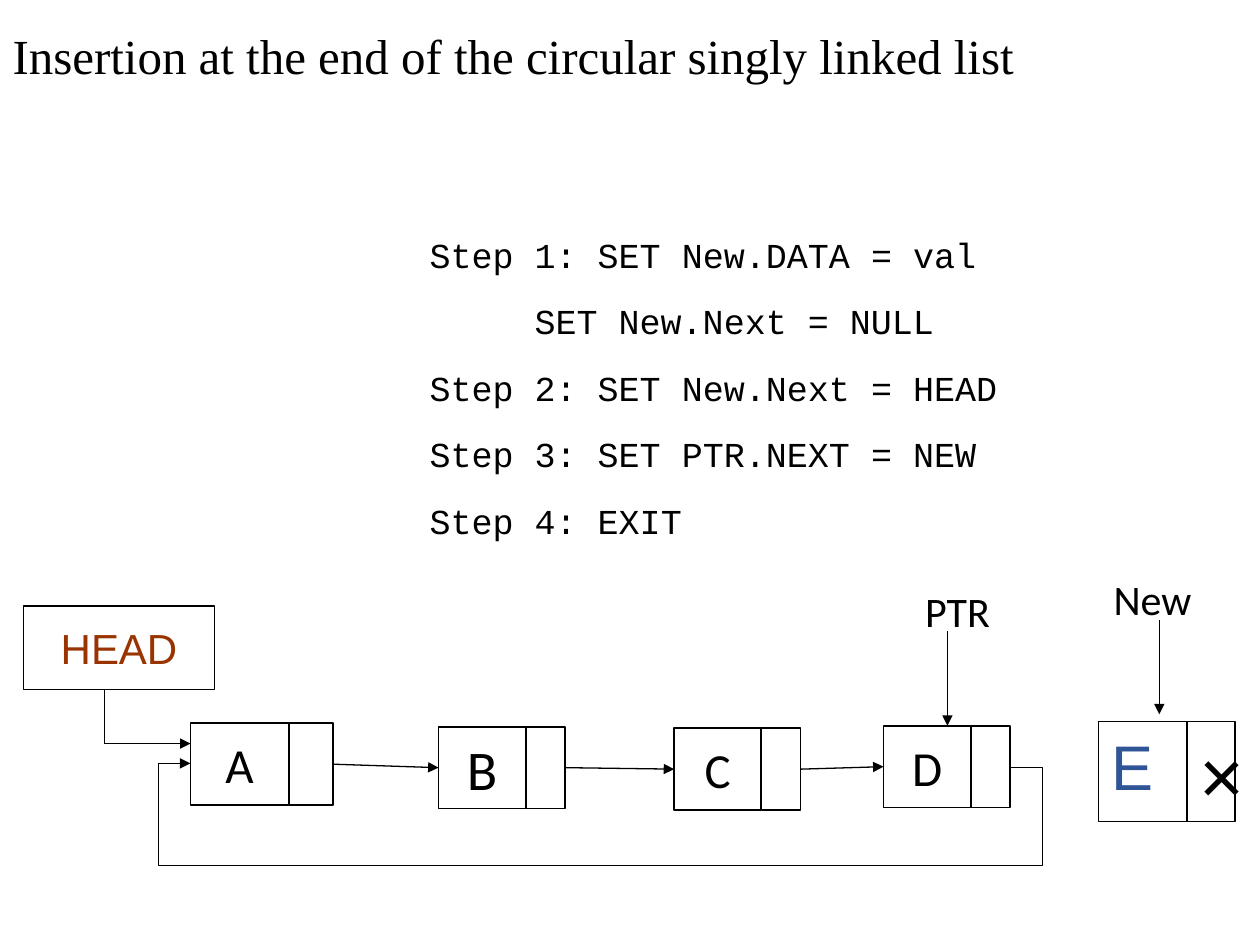
import pptx
import pptx.dml.color
import pptx.enum.shapes
import pptx.enum.text
import pptx.oxml.ns
import pptx.oxml.xmlchemy
import pptx.util

Cm = pptx.util.Cm
Pt = pptx.util.Pt
PP_ALIGN = pptx.enum.text.PP_ALIGN
ANCHOR = pptx.enum.text.MSO_ANCHOR
CONNECTOR = pptx.enum.shapes.MSO_CONNECTOR

COLORS = {"ink": "000000", "paper": "FFFFFF", "head": "993300", "new": "2F5597"}
STEPS = [
    "Step 1: SET New.DATA = val",
    "\t  SET New.Next = NULL",
    "Step 2: SET New.Next = HEAD",
    "Step 3: SET PTR.NEXT = NEW",
    "Step 4: EXIT",
]
NODES = [
    ("A", 3.84, 14.58, 1.98, 0.89, 28),
    ("B", 8.84, 14.65, 1.76, 0.79, 32),
    ("C", 13.59, 14.68, 1.76, 0.79, 28),
    ("D", 17.81, 14.63, 1.76, 0.79, 28),
]
NODE_HEIGHT = 1.65


def rgb(name):
    return pptx.dml.color.RGBColor.from_string(COLORS[name])


def add_child(parent, tag, **attributes):
    child = pptx.oxml.xmlchemy.OxmlElement(tag)
    for name, value in attributes.items():
        child.set(name, value)
    parent.append(child)


def write(frame, *lines, font="Calibri", size=28, color="ink", align=PP_ALIGN.CENTER,
          anchor=ANCHOR.MIDDLE, spacing=None, after=0):
    frame.word_wrap = True
    frame.vertical_anchor = anchor
    for index, line in enumerate(lines):
        paragraph = frame.add_paragraph() if index else frame.paragraphs[0]
        paragraph.alignment = align
        paragraph.line_spacing = spacing
        paragraph.space_after = Pt(after)
        run = paragraph.add_run()
        run.text = line
        run.font.name = font
        run.font.size = Pt(size)
        run.font.color.rgb = rgb(color)


class Diagram:
    def __init__(self, slide):
        self.slide = slide

    def title(self, text):
        title = self.slide.shapes.title
        title.left, title.top, title.width, title.height = Cm(0), Cm(-0.08), Cm(25.4), Cm(2.54)
        write(title.text_frame, text, font="Times New Roman", align=PP_ALIGN.LEFT, spacing=0.9)

    def code(self, lines, left, top, width, height):
        box = self.slide.shapes.add_textbox(Cm(left), Cm(top), Cm(width), Cm(height))
        write(box.text_frame, *lines, font="Courier New", size=20, align=PP_ALIGN.LEFT,
              anchor=ANCHOR.TOP, spacing=1.5, after=2)

    def box(self, left, top, width, height, text="", line=1, **style):
        box = self.slide.shapes.add_shape(
            pptx.enum.shapes.MSO_SHAPE.RECTANGLE, Cm(left), Cm(top), Cm(width), Cm(height))
        box.shadow.inherit = False
        box.fill.solid()
        box.fill.fore_color.rgb = rgb("paper")
        if line:
            box.line.color.rgb = rgb("ink")
            box.line.width = Pt(line)
        else:
            box.line.fill.background()
        if text:
            write(box.text_frame, text, **style)
        return box

    def node(self, text, left, top, data_width, next_width, size):
        data = self.box(left, top, data_width, NODE_HEIGHT, text, size=size)
        link = self.box(left + data_width, top, next_width, NODE_HEIGHT)
        return data, link

    def line(self, x1, y1, x2, y2, width=0.75, arrow=True, kind=CONNECTOR.STRAIGHT):
        line = self.slide.shapes.add_connector(kind, Cm(x1), Cm(y1), Cm(x2), Cm(y2))
        line.line.color.rgb = rgb("ink")
        line.line.width = Pt(width)
        properties = line._element.spPr
        if arrow:
            add_child(properties.find(pptx.oxml.ns.qn("a:ln")), "a:tailEnd", type="triangle")
        add_child(properties, "a:effectLst")
        return line

    def join(self, source, target):
        arrow = self.line(0, 0, 1, 1)
        arrow.begin_connect(source, 3)
        arrow.end_connect(target, 1)

    def loop(self, x1, y1, x2, y2, overhang, bottom):
        loop = self.line(x1, y1, x2, y2, width=0.5, kind=CONNECTOR.ELBOW)
        geometry = loop._element.spPr.find(pptx.oxml.ns.qn("a:prstGeom"))
        geometry.set("prst", "bentConnector5")
        guides = geometry.find(pptx.oxml.ns.qn("a:avLst"))
        if guides is None:
            add_child(geometry, "a:avLst")
            guides = geometry.find(pptx.oxml.ns.qn("a:avLst"))
        side = overhang / (x1 - x2)
        bends = (-side, -(bottom - y1) / (y1 - y2), 1 + side)
        for number, bend in enumerate(bends, 1):
            add_child(guides, "a:gd", name=f"adj{number}", fmla=f"val {round(bend * 100000)}")


def main():
    deck = pptx.Presentation()
    deck.slide_width, deck.slide_height = Cm(25.4), Cm(19.05)
    diagram = Diagram(deck.slides.add_slide(deck.slide_layouts[5]))

    diagram.title("Insertion at the end of the circular singly linked list")
    diagram.code(STEPS, 8.41, 4.15, 16.99, 7.19)

    diagram.box(22.15, 14.55, 1.8, 2.01, "E", line=0.75, font="Arial", size=36,
                color="new", align=PP_ALIGN.LEFT, anchor=ANCHOR.TOP)
    diagram.box(23.93, 14.55, 0.97, 2.01, "×", line=0.75, font="Arial", size=44,
                anchor=ANCHOR.TOP)
    diagram.box(22.2, 11.43, 2.69, 1.27, "New", line=0, size=24,
                align=PP_ALIGN.LEFT, anchor=ANCHOR.TOP)
    diagram.line(23.37, 12.5, 23.37, 14.4, width=0.5)

    diagram.box(0.48, 12.22, 3.84, 1.68, "HEAD", line=0.75, font="Arial", size=24, color="head")
    diagram.line(2.11, 13.9, 2.11, 14.99, arrow=False)
    diagram.line(2.11, 14.99, 3.84, 14.99)

    nodes = [diagram.node(*node) for node in NODES]
    for (_, link), (data, _) in zip(nodes, nodes[1:]):
        diagram.join(link, data)
    diagram.loop(20.37, 15.47, 3.84, 15.39, overhang=0.64, bottom=17.45)

    diagram.box(17.96, 11.68, 2.69, 1.27, "PTR", line=0, size=24, anchor=ANCHOR.TOP)
    diagram.line(19.1, 12.73, 19.1, 14.63, width=0.5)

    deck.save("out.pptx")


if __name__ == "__main__":
    main()
